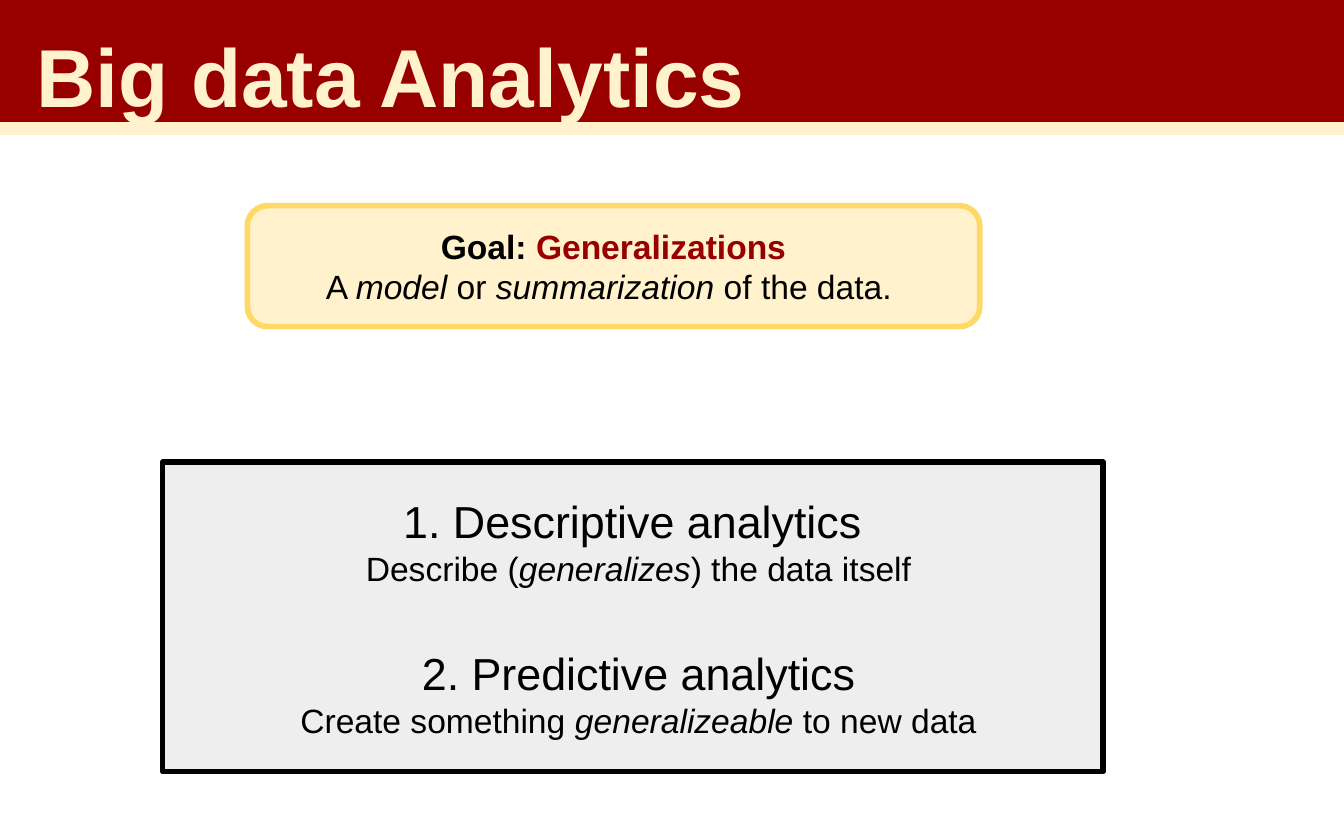
from dataclasses import dataclass

from pptx import Presentation
from pptx import util as u
from pptx.dml.color import RGBColor
from pptx.enum import shapes, text


@dataclass(frozen=True)
class Theme:
    font: str = "Arial"
    red: str = "980000"
    cream: str = "FFF2CC"
    gold: str = "FFD966"
    grey: str = "EEEEEE"
    black: str = "000000"
    title: int = 44
    head: int = 24
    body: int = 18


class Deck:
    def __init__(self, theme, slide):
        self.theme = theme
        self.slide = slide

    def box(self, area, fill, line=None, width=3, kind=shapes.MSO_SHAPE.RECTANGLE):
        shape = self.slide.shapes.add_shape(kind, *map(u.Pt, area))
        shape.shadow.inherit = False
        shape.fill.solid()
        shape.fill.fore_color.rgb = RGBColor.from_string(fill)
        if line:
            shape.line.color.rgb = RGBColor.from_string(line)
            shape.line.width = u.Pt(width)
        else:
            shape.line.fill.background()
        return shape

    def frame(self, shape, left=7.2):
        frame = shape.text_frame
        frame.word_wrap = True
        frame.vertical_anchor = text.MSO_ANCHOR.MIDDLE
        frame.margin_left = u.Pt(left)
        frame.margin_right = frame.margin_top = frame.margin_bottom = u.Pt(7.2)
        return frame

    def label(self, para, parts, size, align=text.PP_ALIGN.CENTER):
        para.alignment = align
        for words, style in parts:
            run = para.add_run()
            run.text = words
            font = run.font
            font.name = self.theme.font
            font.size = u.Pt(size)
            font.bold = style.get("bold", False)
            font.italic = style.get("italic", False)
            font.color.rgb = RGBColor.from_string(style.get("color", self.theme.black))

    def banner(self, words):
        t = self.theme
        frame = self.frame(self.box((0, 0, 720, 72), t.red), left=19.4)
        para = frame.paragraphs[0]
        para.line_spacing = 1.15
        style = {"bold": True, "color": t.cream}
        self.label(para, [(words, style)], t.title, text.PP_ALIGN.LEFT)
        self.box((0, 65.5, 720, 6.5), t.cream, t.cream, 0.75)

    def goal(self, lines):
        t = self.theme
        shape = self.box((132.5, 110.2, 392.4, 64.8), t.cream, t.gold,
                         kind=shapes.MSO_SHAPE.ROUNDED_RECTANGLE)
        frame = self.frame(shape)
        for i, parts in enumerate(lines):
            para = frame.add_paragraph() if i else frame.paragraphs[0]
            self.label(para, parts, t.body)

    def kinds(self, items):
        t = self.theme
        frame = self.frame(self.box((87.1, 247.7, 504, 165.6), t.grey, t.black), left=13)
        for i, (head, parts) in enumerate(items):
            para = frame.add_paragraph() if i else frame.paragraphs[0]
            if i:
                para.space_before = u.Pt(31)
            self.label(para, [(head, {})], t.head)
            self.label(frame.add_paragraph(), parts, t.body)


def main():
    prs = Presentation()
    prs.slide_width, prs.slide_height = u.Pt(720), u.Pt(450)
    theme = Theme()
    deck = Deck(theme, prs.slides.add_slide(prs.slide_layouts[6]))
    bold, slant = {"bold": True}, {"italic": True}
    deck.goal([
        [("Goal: ", bold), ("Generalizations", {"bold": True, "color": theme.red})],
        [("A ", {}), ("model", slant), (" or ", {}),
         ("summarization", slant), (" of the data. ", {})],
    ])
    deck.kinds([
        ("1. Descriptive analytics ",
         [("Describe (", {}), ("generalizes", slant), (") the data itself", {})]),
        ("2. Predictive analytics",
         [("Create something ", {}), ("generalizeable", slant), (" to new data", {})]),
    ])
    deck.banner("Big data Analytics")
    prs.save("out.pptx")


if __name__ == "__main__":
    main()
